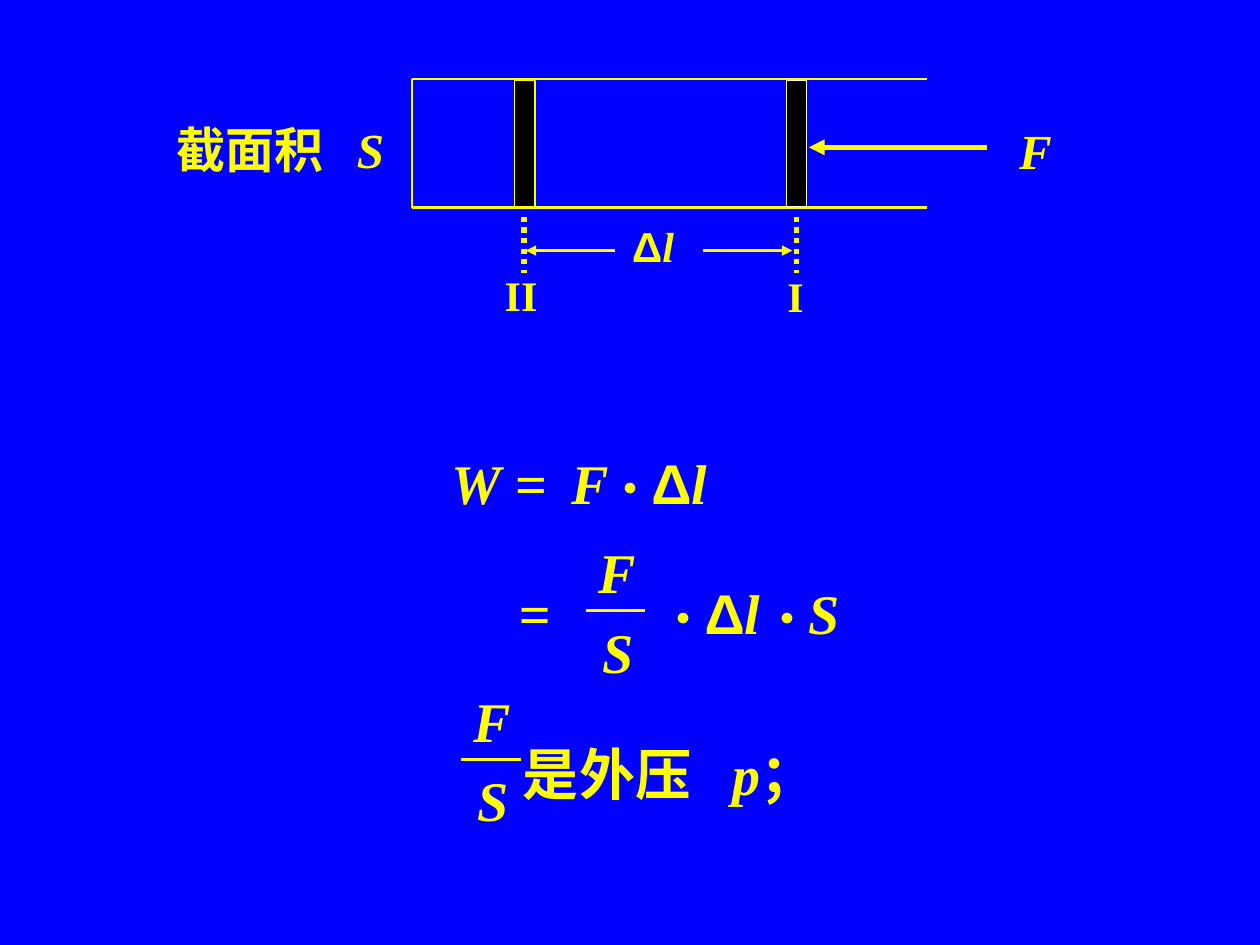
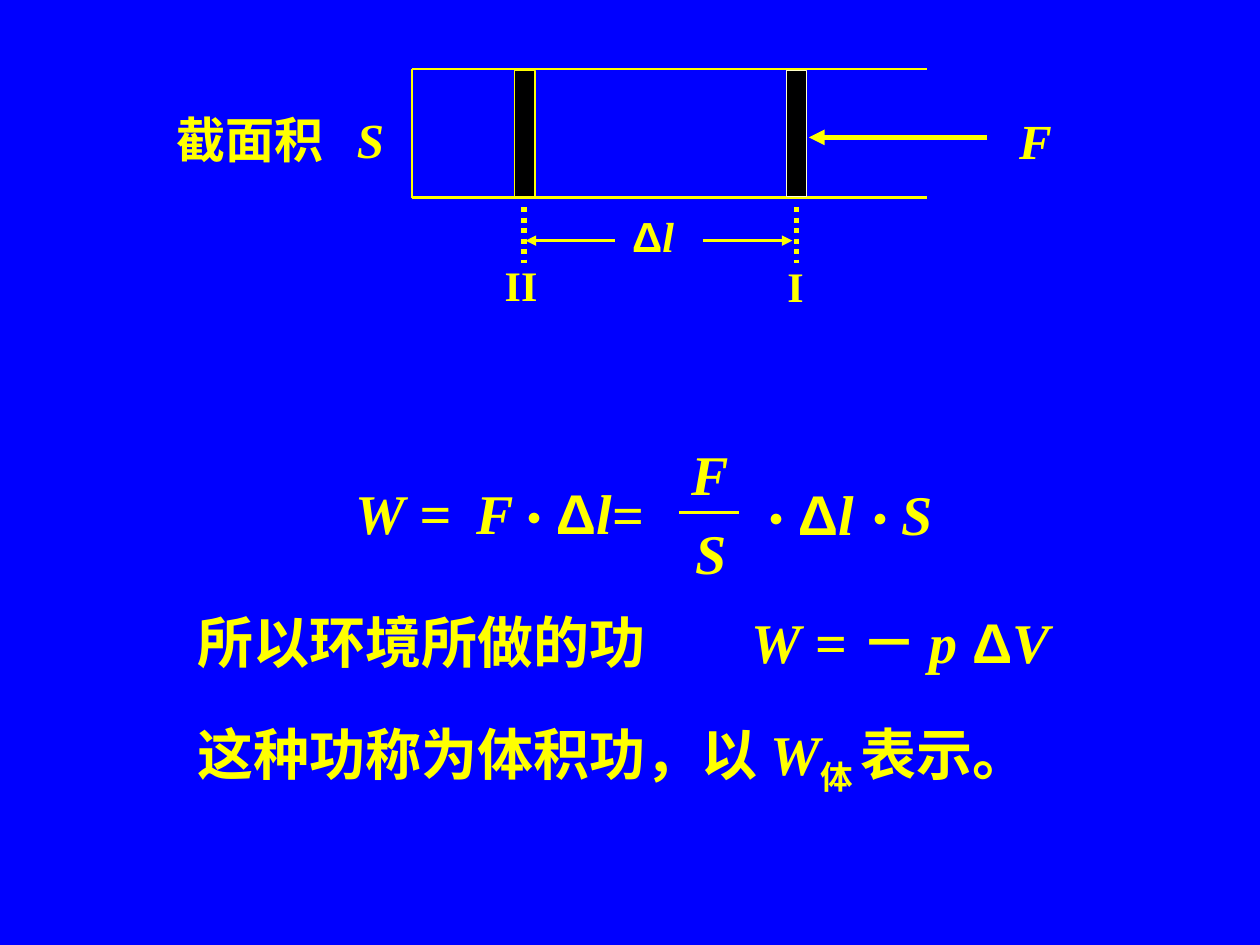
from pptx import Presentation
from pptx.dml.color import RGBColor
from pptx.enum.dml import MSO_LINE_DASH_STYLE as Dash
from pptx.enum.shapes import MSO_CONNECTOR as Link, MSO_SHAPE as Form
from pptx.oxml.ns import qn
from pptx.util import Pt
from lxml.etree import SubElement as sub

hue = RGBColor.from_string
BLUE, GOLD, CREAM, BLACK = "0000FF", "FFFF00", "FFFFCC", "000000"
SERIF, SANS, HAN = "Times New Roman", "Arial", "Noto Sans CJK SC"

UP = {"face": SERIF}
IT = {"face": SERIF, "slant": True}
DELTA = {"face": SANS}
DOT = {"face": HAN, "size": 24}
RAISED = {"face": HAN, "size": 24, "slant": True, "base": 30}
LOW = {"face": SERIF, "base": -25}

PATH = [("Δ", DELTA), ("l", IT)]
WORK = [("W", IT), (" =\t", UP), ("F", IT), ("•", DOT)] + PATH
RATIO = [("=\t", UP), ("•", DOT)] + PATH + [(" ", RAISED), ("•", DOT), ("S", IT)]


def put(slide, runs, x, y, w, h=57.6, size=32, gap=1.3, tab=None):
    box = slide.shapes.add_textbox(Pt(x), Pt(y), Pt(w), Pt(h))
    box.text_frame.word_wrap = True
    para = box.text_frame.paragraphs[0]
    if tab:
        stops = sub(para._p.get_or_add_pPr(), qn("a:tabLst"))
        sub(stops, qn("a:tab"), pos=str(Pt(tab)), algn="l")
    if gap:
        para.line_spacing = gap
    for words, form in runs:
        run = para.add_run()
        run.text = words
        font = run.font
        font.name = form["face"]
        font.size = Pt(form.get("size", size))
        font.bold = True
        font.italic = form.get("slant", False)
        font.color.rgb = hue(GOLD)
        sub(run._r.rPr, qn("a:ea"), typeface=HAN)
        if "base" in form:
            run._r.rPr.set("baseline", str(form["base"] * 1000))


def rule(slide, x, y, to_x, to_y, width, dash=None, head=False):
    line = slide.shapes.add_connector(Link.STRAIGHT, Pt(x), Pt(y), Pt(to_x), Pt(to_y))
    line.line.color.rgb = hue(GOLD)
    line.line.width = Pt(width)
    if dash:
        line.line.dash_style = dash
    if head:
        sub(line.line._get_or_add_ln(), qn("a:tailEnd"), type="triangle")
    sub(line._element.spPr, qn("a:effectLst"))


deck = Presentation()
deck.slide_width, deck.slide_height = Pt(720), Pt(540)
back = deck.slide_master.background.fill
back.solid()
back.fore_color.rgb = hue(BLUE)

scenes = [
    {
        "top": 45.2,
        "ratios": [(334.8, 292.3), (263.5, 377.3)],
        "texts": [
            (WORK, 250.8, 241.2, 300, {"tab": 68.9}),
            (RATIO, 289.4, 315.4, 232.6, {"tab": 82.2}),
            ([("是外压\t", UP), ("p", IT), ("；", UP)], 291.8, 388.1, 216,
             {"h": 76.3, "gap": 1.8, "tab": 119.8}),
        ],
    },
    {
        "top": 39.5,
        "ratios": [(388.1, 236.2)],
        "texts": [
            (WORK, 196.2, 258.5, 206, {"tab": 68.9}),
            (RATIO, 342.7, 259.2, 232.6, {"tab": 82.2}),
            ([("所以环境所做的功\t", UP), ("W", IT), (" = － ", UP), ("p ", IT),
              ("Δ", DELTA), ("V", IT)], 105.8, 331.9, 540, {"tab": 316.5}),
            ([("这种功称为体积功，以 ", UP), ("W", IT), ("体 ", LOW), ("表示。", UP)],
             105.8, 394.6, 540, {"h": 64.1}),
        ],
    },
]

for scene in scenes:
    slide = deck.slides.add_slide(deck.slide_layouts[6])
    top = scene["top"]

    for y in (top, top + 73.5):
        rule(slide, 235.4, y, 530, y, 1.5)
    rule(slide, 235.4, top + 73.5, 235.4, top, 1.5)

    for x, edge in ((294.2, GOLD), (449.3, CREAM)):
        bar = slide.shapes.add_shape(Form.RECTANGLE, Pt(x), Pt(top + 0.8), Pt(11.5), Pt(72))
        bar.shadow.inherit = False
        bar.fill.solid()
        bar.fill.fore_color.rgb = hue(BLACK)
        bar.line.color.rgb = hue(edge)
        bar.line.width = Pt(0.75)

    for x in (299.5, 455.3):
        rule(slide, x, top + 78.8, x, top + 110.6, 3, dash=Dash.ROUND_DOT)
    rule(slide, 564.2, top + 39, 462.2, top + 39, 3, head=True)
    for x, to_x in ((401.8, 452.8), (351.4, 300.4)):
        rule(slide, x, top + 98, to_x, top + 98, 2, head=True)

    labels = [
        ([("截面积\t", UP), ("S", IT)], 93.8, 19.6, 158, 41, 28, 103),
        ([("F", IT)], 575.3, 20, 79.2, 41, 28, None),
        (PATH, 354.2, 77.2, 50, 36, 24, None),
        ([("II", UP)], 281.3, 105.3, 73, 36, 24, None),
        ([("I", UP)], 442.8, 106, 57.6, 36, 24, None),
    ]
    for runs, x, down, w, h, size, tab in labels:
        put(slide, runs, x, top + down, w, h, size, gap=None, tab=tab)

    for runs, x, y, w, form in scene["texts"]:
        put(slide, runs, x, y, w, **form)
    for x, y in scene["ratios"]:
        put(slide, [("F", IT)], x, y, 51)
        put(slide, [("S", IT)], x + 2.5, y + 45.3, 51)
        rule(slide, x, y + 56.7, x + 34, y + 56.7, 1.75)

deck.save("out.pptx")
